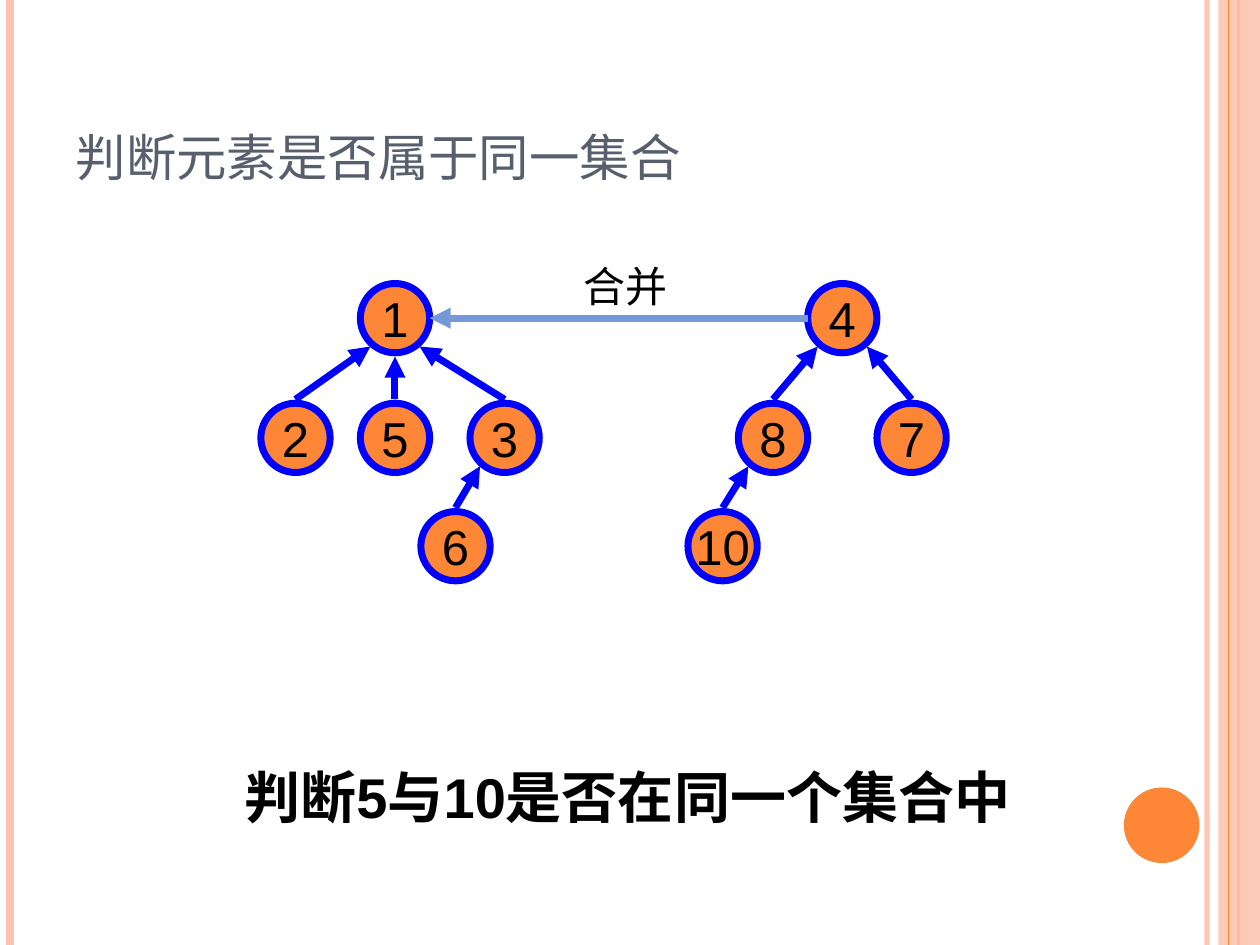
from pptx import Presentation
from pptx import util as u
from pptx.dml.color import RGBColor
from pptx.enum import shapes, text
from pptx.oxml.ns import qn
from lxml import etree

COLORS = {"accent": "FE8637", "pale": "FEC3AE", "title": "575F6D",
          "ink": "000000", "edge": "0000FF", "merge": "7598D9", "paper": "FFFFFF"}
COLUMNS, ROWS = 100, 75
RADIUS = 2.75


def write(frame, words, size, color="ink", bold=False, align=None, wrap=True,
          anchor=None, small_caps=False):
    """Fill a text frame with one formatted paragraph."""
    frame.word_wrap = wrap
    frame.auto_size = text.MSO_AUTO_SIZE.NONE
    if anchor is not None:
        frame.vertical_anchor = anchor
    para = frame.paragraphs[0]
    para.alignment = align
    span = para.add_run()
    span.text = words
    span.font.name = "Arial"
    span.font.size = u.Pt(size)
    span.font.bold = bold
    span.font.color.rgb = RGBColor.from_string(COLORS[color])
    if small_caps:
        span.font._element.set("cap", "small")


class Page:
    """Holds the style and the current slide; lengths are grid columns and rows."""

    def __init__(self, deck):
        self.column = deck.slide_width / COLUMNS
        self.row = deck.slide_height / ROWS
        self.slide = deck.slides.add_slide(deck.slide_layouts[5])
        self.paint(self.slide.background.fill, "paper")

    def place(self, left, top, width, height):
        return (round(left * self.column), round(top * self.row),
                round(width * self.column), round(height * self.row))

    def paint(self, fill, color, opacity=100):
        fill.solid()
        fill.fore_color.rgb = RGBColor.from_string(COLORS[color])
        if opacity < 100:
            tint = fill._xPr.find(qn("a:solidFill"))[0]
            etree.SubElement(tint, qn("a:alpha"), val=str(opacity * 1000))

    def title(self, words, *area):
        box = self.slide.shapes.title
        box.left, box.top, box.width, box.height = self.place(*area)
        write(box.text_frame, words, 36, "title", align=text.PP_ALIGN.LEFT,
              anchor=text.MSO_ANCHOR.BOTTOM, small_caps=True)

    def label(self, words, area, size, **style):
        box = self.slide.shapes.add_textbox(*self.place(*area))
        write(box.text_frame, words, size, **style)

    def shape(self, kind, area, color, opacity=100, outline=None):
        shape = self.slide.shapes.add_shape(kind, *self.place(*area))
        shape.shadow.inherit = False
        self.paint(shape.fill, color, opacity)
        if outline:
            self.paint(shape.line.fill, outline)
            shape.line.width = u.Pt(4)
        else:
            shape.line.fill.background()
        return shape

    def line(self, start, end, color, width, opacity=100, arrow=False,
             kind=shapes.MSO_CONNECTOR.STRAIGHT):
        line = self.slide.shapes.add_connector(
            kind, *self.place(*start, *end))
        self.paint(line.line.fill, color, opacity)
        line.line.width = u.Pt(width)
        if arrow:
            etree.SubElement(line.line._ln, qn("a:tailEnd"), type="triangle")
        etree.SubElement(line._element.spPr, qn("a:effectLst"))

    def node(self, name, x, y):
        area = (x - RADIUS, y - RADIUS, 2 * RADIUS, 2 * RADIUS)
        shape = self.shape(shapes.MSO_SHAPE.OVAL, area, "accent", outline="edge")
        write(shape.text_frame, name, 28, align=text.PP_ALIGN.CENTER,
              wrap=False, anchor=text.MSO_ANCHOR.MIDDLE)

    def parent_arrow(self, child, parent):
        """Point from the top of a child to the near lower side of its parent."""
        (x, y), (px, py) = child, parent
        side = (x > px) - (x < px)
        end = (px + 1.95 * side, py + (2.25 if side else 3.05))
        self.line((x, y - 3.05), end, "edge", 4, arrow=True)


def main():
    deck = Presentation()
    deck.slide_width, deck.slide_height = u.Inches(10), u.Inches(7.5)
    page = Page(deck)

    # Side stripes and corner disc
    for x, color, width, opacity in [(95.8, "pale", 3, 93), (0.8, "pale", 4.5, 100),
                                     (98.3, "accent", 1.5, 100)]:
        page.line((x, 0), (x, ROWS), color, width, opacity)
    page.shape(shapes.MSO_SHAPE.RECTANGLE, (96.7, 0, 3.3, ROWS), "pale", 87)
    page.line((97.5, 0), (97.5, ROWS), "accent", 0.75)
    page.shape(shapes.MSO_SHAPE.OVAL, (89.2, 62.5, 6, 6), "accent")

    # Title and question
    page.title("判断元素是否属于同一集合", 5, 3, 81.7, 12.5)
    page.label("判断5与10是否在同一个集合中", (18.3, 60, 63, 6.3), 32,
               bold=True, align=text.PP_ALIGN.CENTER)

    # Trees: node centres by level, then each child's parent
    levels = {25.25: {"1": 31.35, "4": 66.85},
              34.75: {"2": 23.45, "3": 40.05, "5": 31.35, "8": 61.35, "7": 72.35},
              43.35: {"6": 36.15, "10": 57.35}}
    centres = {name: (x, y) for y, level in levels.items()
               for name, x in level.items()}
    parents = {"2": "1", "5": "1", "3": "1", "6": "3",
               "8": "4", "7": "4", "10": "8"}
    for name, centre in centres.items():
        page.node(name, *centre)
    for child, parent in parents.items():
        page.parent_arrow(centres[child], centres[parent])

    # Merge of the two roots
    (left, y), (right, _) = centres["1"], centres["4"]
    page.line((right - RADIUS, y), (left + RADIUS, y), "merge", 4, arrow=True,
              kind=shapes.MSO_CONNECTOR.CURVE)
    page.label("合并", (45.3, 20.2, 9.4, 5), 24)

    deck.save("out.pptx")


if __name__ == "__main__":
    main()
